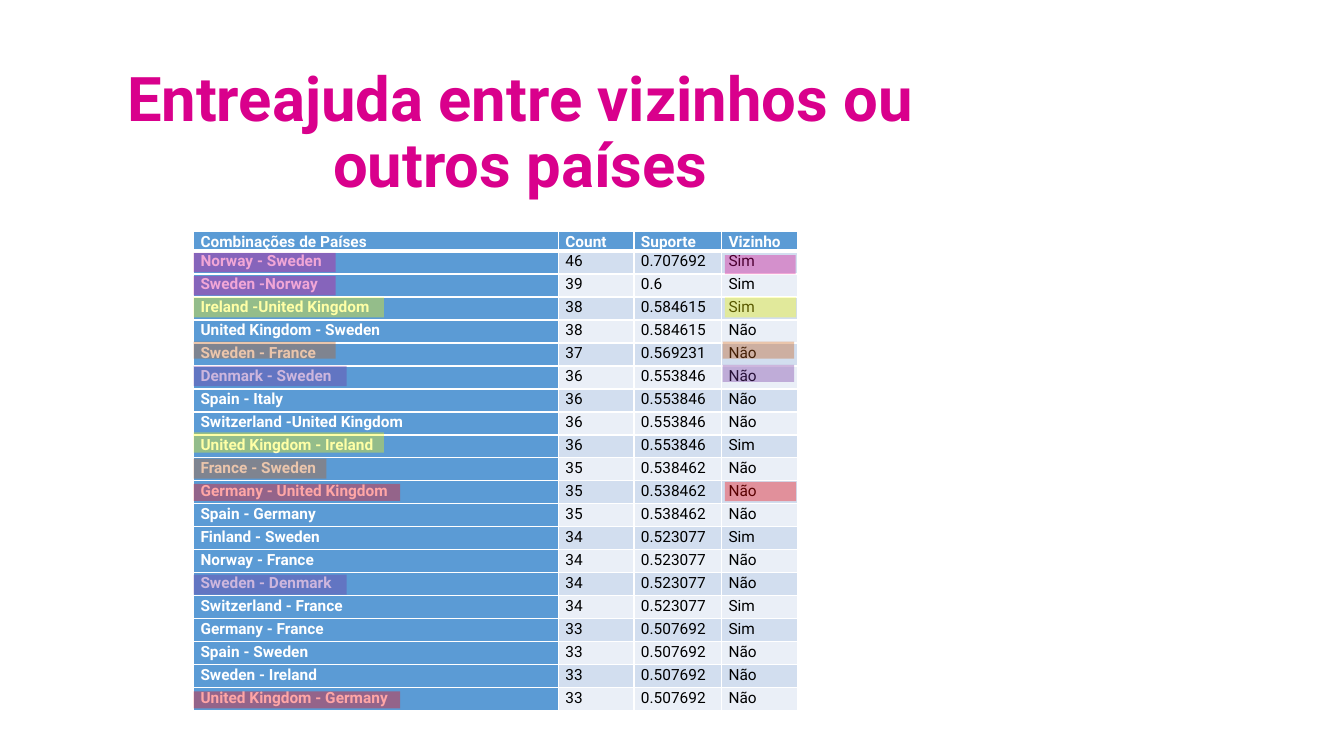
from dataclasses import dataclass

from lxml import etree
from pptx import Presentation
from pptx.dml.color import RGBColor
from pptx.enum.shapes import MSO_SHAPE
from pptx.enum.text import MSO_ANCHOR, PP_ALIGN
from pptx.oxml.ns import qn
from pptx.util import Pt

RECTANGLE = MSO_SHAPE.RECTANGLE
MIDDLE = MSO_ANCHOR.MIDDLE
CENTER = PP_ALIGN.CENTER


@dataclass(frozen=True)
class Theme:
    """Colours, font and type sizes of the slide."""
    font: str = "Roboto"
    title_size: float = 44
    table_size: float = 11
    magenta: str = "D9008C"
    yellow: str = "FFFF00"
    orange: str = "C55A11"
    purple: str = "7030A0"
    red: str = "FF0000"
    white: str = "FFFFFF"
    black: str = "000000"
    header: str = "5B9BD5"
    bands: tuple = ("EAEFF7", "D2DEEF")
    highlight_opacity: int = 35


THEME = Theme()
TABLE_LEFT, TABLE_TOP = 138.24, 165.6
COLUMN_WIDTHS = (260.6, 54, 62.6, 54)
HEADER_HEIGHT, ROW_HEIGHT = 13, 16.42

COUNTRY_PAIRS = (
    ("Combinações de Países", "Count", "Suporte", "Vizinho"),
    ("Norway - Sweden", "46", "0.707692", "Sim"),
    ("Sweden -Norway", "39", "0.6", "Sim"),
    ("Ireland -United Kingdom", "38", "0.584615", "Sim"),
    ("United Kingdom - Sweden", "38", "0.584615", "Não"),
    ("Sweden - France", "37", "0.569231", "Não"),
    ("Denmark - Sweden", "36", "0.553846", "Não"),
    ("Spain - Italy", "36", "0.553846", "Não"),
    ("Switzerland -United Kingdom", "36", "0.553846", "Não"),
    ("United Kingdom - Ireland", "36", "0.553846", "Sim"),
    ("France - Sweden", "35", "0.538462", "Não"),
    ("Germany - United Kingdom", "35", "0.538462", "Não"),
    ("Spain - Germany", "35", "0.538462", "Não"),
    ("Finland - Sweden", "34", "0.523077", "Sim"),
    ("Norway - France", "34", "0.523077", "Não"),
    ("Sweden - Denmark", "34", "0.523077", "Não"),
    ("Switzerland - France", "34", "0.523077", "Sim"),
    ("Germany - France", "33", "0.507692", "Sim"),
    ("Spain - Sweden", "33", "0.507692", "Não"),
    ("Sweden - Ireland", "33", "0.507692", "Não"),
    ("United Kingdom - Germany", "33", "0.507692", "Não"),
)

HIGHLIGHTS = (
    (THEME.magenta, TABLE_LEFT, 180.7, 101.5, 13.7),
    (THEME.magenta, TABLE_LEFT, 197.3, 101.5, 13.7),
    (THEME.yellow, TABLE_LEFT, 212.4, 136, 14.4),
    (THEME.yellow, TABLE_LEFT, 308.9, 136, 14.4),
    (THEME.yellow, 517.7, 212.4, 51, 14.4),
    (THEME.magenta, 517.7, 182.2, 50.6, 13.7),
    (THEME.orange, TABLE_LEFT, 244.1, 101.5, 12.2),
    (THEME.orange, TABLE_LEFT, 327.6, 95, 14.4),
    (THEME.orange, 516.2, 244.1, 51, 12.2),
    (THEME.purple, TABLE_LEFT, 410.4, 109.4, 14.4),
    (THEME.purple, TABLE_LEFT, 261.4, 109.4, 14.4),
    (THEME.purple, 516.2, 260.6, 51, 12.2),
    (THEME.red, TABLE_LEFT, 493.9, 147.6, 12.2),
    (THEME.red, TABLE_LEFT, 345.6, 147.6, 12.2),
    (THEME.red, 517.7, 344.2, 51, 13.7),
)


def add_run(paragraph, text, size, color, bold):
    """Append one styled run to a paragraph."""
    run = paragraph.add_run()
    run.text = text
    run.font.name = THEME.font
    run.font.size = Pt(size)
    run.font.bold = bold
    run.font.color.rgb = RGBColor.from_string(color)


def add_title(slide, text):
    """Add the centred slide title."""
    title = slide.shapes.add_textbox(Pt(32.4), Pt(43.9), Pt(679), Pt(104.4))
    frame = title.text_frame
    frame.word_wrap = True
    frame.vertical_anchor = MIDDLE
    paragraph = frame.paragraphs[0]
    paragraph.alignment = CENTER
    paragraph.line_spacing = 0.9
    add_run(paragraph, text, THEME.title_size, THEME.magenta, True)


def set_borders(cell, top, bottom):
    """Draw white cell borders, with the given top and bottom widths."""
    properties = cell._tc.get_or_add_tcPr()
    for side, width in (("L", 1), ("R", 1), ("T", top), ("B", bottom)):
        line = etree.SubElement(properties, qn(f"a:ln{side}"), w=str(Pt(width)))
        fill = etree.SubElement(line, qn("a:solidFill"))
        etree.SubElement(fill, qn("a:srgbClr"), val=THEME.white)


def fill_cell(cell, text, row, column):
    """Style one table cell by its place and write its text."""
    emphasized = row == 0 or column == 0
    cell.margin_left = cell.margin_right = Pt(5)
    cell.margin_top = cell.margin_bottom = 0
    set_borders(cell, 3 if row == 1 else 1, 3 if row == 0 else 1)
    cell.fill.solid()
    background = THEME.header if emphasized else THEME.bands[row % 2]
    cell.fill.fore_color.rgb = RGBColor.from_string(background)
    paragraph = cell.text_frame.paragraphs[0]
    paragraph.line_spacing = 1.07
    paragraph.space_after = Pt(8)
    color = THEME.white if emphasized else THEME.black
    add_run(paragraph, text, THEME.table_size, color, emphasized)


def add_country_table(slide):
    """Add the table of country pairs."""
    heights = [HEADER_HEIGHT] + [ROW_HEIGHT] * (len(COUNTRY_PAIRS) - 1)
    table = slide.shapes.add_table(
        len(heights), len(COLUMN_WIDTHS), Pt(TABLE_LEFT), Pt(TABLE_TOP),
        Pt(sum(COLUMN_WIDTHS)), Pt(sum(heights))).table
    table.horz_banding = False
    for column, width in zip(table.columns, COLUMN_WIDTHS):
        column.width = Pt(width)
    for row, height in zip(table.rows, heights):
        row.height = Pt(height)
    for row, values in enumerate(COUNTRY_PAIRS):
        for column, text in enumerate(values):
            fill_cell(table.cell(row, column), text, row, column)


def add_highlight(slide, color, left, top, width, height):
    """Add one translucent marker bar."""
    marker = slide.shapes.add_shape(
        RECTANGLE, Pt(left), Pt(top), Pt(width), Pt(height))
    marker.shadow.inherit = False
    marker.line.fill.background()
    marker.fill.solid()
    marker.fill.fore_color.rgb = RGBColor.from_string(color)
    tint = marker._element.spPr.find(f"{qn('a:solidFill')}/{qn('a:srgbClr')}")
    etree.SubElement(tint, qn("a:alpha"), val=str(THEME.highlight_opacity * 1000))


def main():
    """Build and save the slide."""
    presentation = Presentation()
    presentation.slide_width, presentation.slide_height = Pt(960), Pt(540)
    slide = presentation.slides.add_slide(presentation.slide_layouts[6])
    add_country_table(slide)
    add_title(slide, "Entreajuda entre vizinhos ou outros países")
    for highlight in HIGHLIGHTS:
        add_highlight(slide, *highlight)
    presentation.save("out.pptx")


if __name__ == "__main__":
    main()
